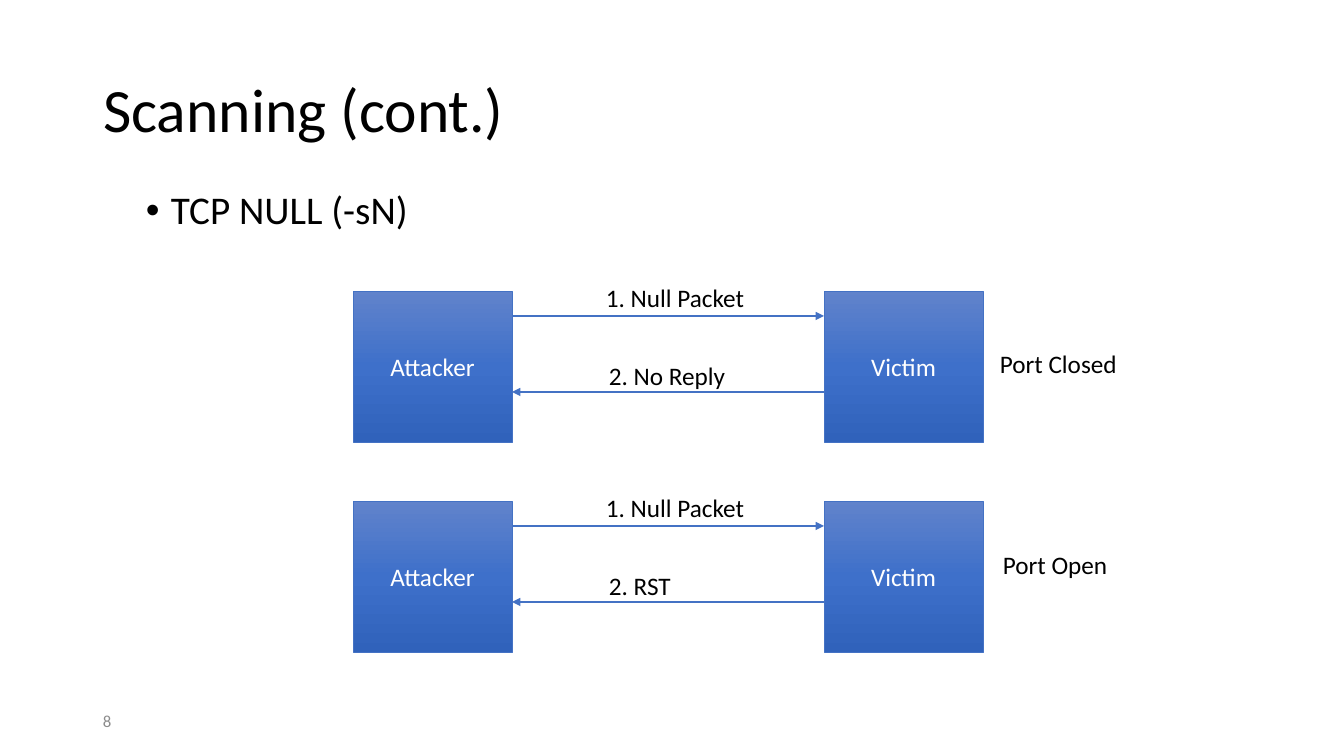
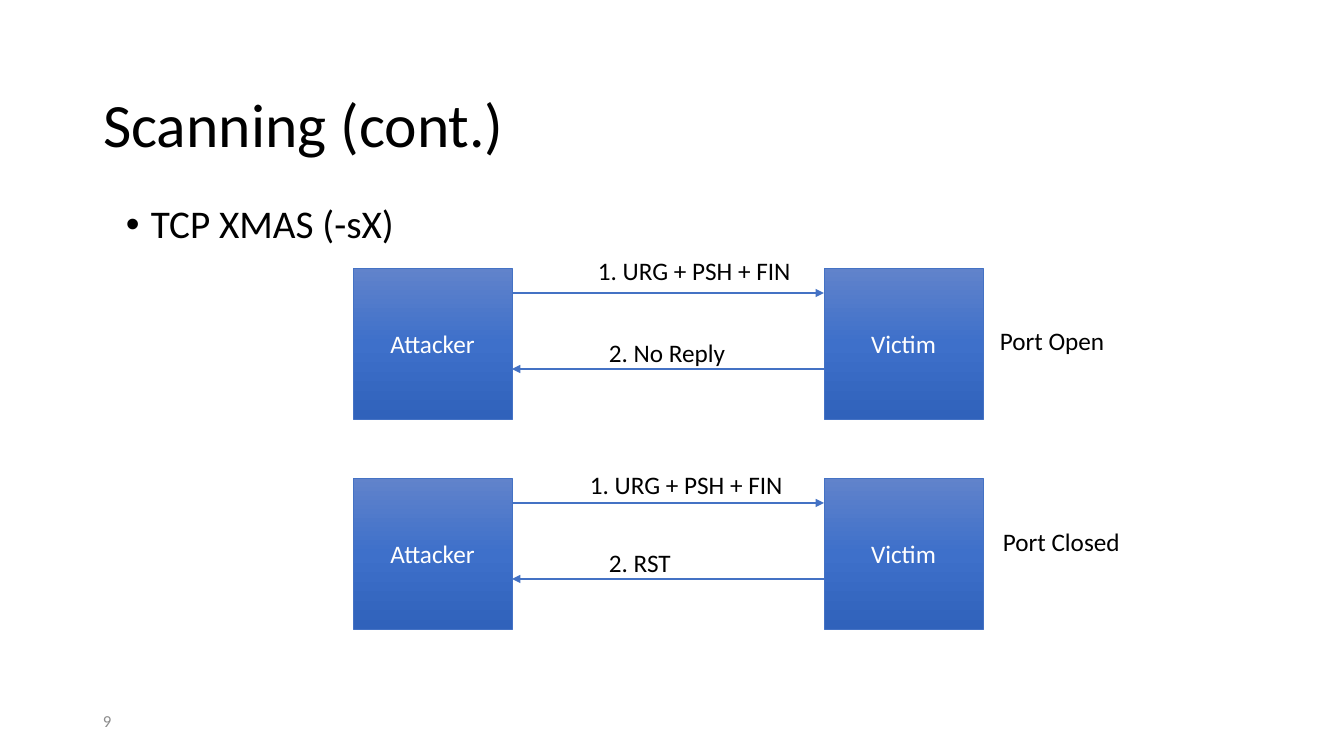
from dataclasses import dataclass
from copy import deepcopy

from lxml.etree import SubElement
from pptx import Presentation
from pptx.dml.color import RGBColor
from pptx.enum.shapes import MSO_CONNECTOR, MSO_SHAPE
from pptx.enum.text import MSO_ANCHOR, MSO_AUTO_SIZE, PP_ALIGN
from pptx.oxml.ns import qn
from pptx.util import Pt

EMU_PER_PIXEL = 914400 / 100.8


@dataclass(frozen=True)
class Theme:
    font: str = "Calibri"
    title_size: int = 44
    bullet_size: int = 28
    label_size: int = 18
    number_size: int = 12
    text: str = "000000"
    node_text: str = "FFFFFF"
    number: str = "8C8C8C"
    accent: str = "4472C4"
    gradient: tuple = ((0, "6183CB"), (0.5, "3E70CA"), (1, "3062BB"))
    outline_width: float = 0.5
    arrow_width: float = 1


@dataclass(frozen=True)
class Label:
    text: str
    left: int
    top: int
    width: int


THEME = Theme()
NODE_WIDTH, NODE_HEIGHT = 159, 151
EXCHANGE_LEFT, EXCHANGE_WIDTH, EXCHANGE_PITCH = 353, 630, 210
REQUEST_OFFSET, REPLY_OFFSET = 25, 101
LABEL_HEIGHT = 40


def px(value):
    return round(value * EMU_PER_PIXEL)


def box_emu(*box):
    return [px(value) for value in box]


def set_text(shape, text, size, color, anchor=MSO_ANCHOR.TOP, align=PP_ALIGN.LEFT, wrap=True):
    frame = shape.text_frame
    frame.text = text
    frame.word_wrap = wrap
    frame.auto_size = MSO_AUTO_SIZE.NONE
    frame.vertical_anchor = anchor
    paragraph = frame.paragraphs[0]
    paragraph.alignment = align
    font = paragraph.runs[0].font
    font.name = THEME.font
    font.size = Pt(size)
    font.color.rgb = RGBColor.from_string(color)
    return paragraph


def add_title(slide, box, text):
    title = slide.shapes.title
    title.left, title.top, title.width, title.height = box_emu(*box)
    paragraph = set_text(title, text, THEME.title_size, THEME.text, MSO_ANCHOR.MIDDLE)
    paragraph.line_spacing = 0.9


def add_bullet(slide, box, text):
    shape = slide.shapes.add_textbox(*box_emu(*box))
    paragraph = set_text(shape, text, THEME.bullet_size, THEME.text)
    paragraph.line_spacing = 0.9
    paragraph.space_before = Pt(10)
    properties = paragraph._p.get_or_add_pPr()
    properties.set("marL", str(px(25)))
    properties.set("indent", str(px(-25)))
    SubElement(properties, qn("a:buFont"), typeface="Arial")
    SubElement(properties, qn("a:buChar"), char="•")


def add_slide_number(slide, box, number):
    shape = slide.shapes.add_textbox(*box_emu(*box))
    set_text(shape, str(number), THEME.number_size, THEME.number, MSO_ANCHOR.MIDDLE)


def add_node(slide, left, top, name):
    box = box_emu(left, top, NODE_WIDTH, NODE_HEIGHT)
    node = slide.shapes.add_shape(MSO_SHAPE.RECTANGLE, *box)
    node.shadow.inherit = False
    node.fill.gradient()
    node.fill.gradient_angle = 270
    stop_list = node._element.spPr.find(qn("a:gradFill")).find(qn("a:gsLst"))
    stop_list.append(deepcopy(stop_list[-1]))
    for stop, (position, color) in zip(node.fill.gradient_stops, THEME.gradient):
        stop.position = position
        stop.color.rgb = RGBColor.from_string(color)
    node.line.color.rgb = RGBColor.from_string(THEME.accent)
    node.line.width = Pt(THEME.outline_width)
    set_text(node, name, THEME.label_size, THEME.node_text, MSO_ANCHOR.MIDDLE, PP_ALIGN.CENTER)


def add_arrow(slide, start, end, top):
    arrow = slide.shapes.add_connector(MSO_CONNECTOR.STRAIGHT, *box_emu(start, top, end, top))
    arrow.line.color.rgb = RGBColor.from_string(THEME.accent)
    arrow.line.width = Pt(THEME.arrow_width)
    SubElement(arrow.line._get_or_add_ln(), qn("a:tailEnd"), type="triangle")
    SubElement(arrow._element.spPr, qn("a:effectLst"))


def add_exchange(slide, left, top, width, labels):
    victim_left = left + width - NODE_WIDTH
    attacker_right = left + NODE_WIDTH
    add_node(slide, left, top, "Attacker")
    add_node(slide, victim_left, top, "Victim")
    add_arrow(slide, attacker_right, victim_left, top + REQUEST_OFFSET)
    add_arrow(slide, victim_left, attacker_right, top + REPLY_OFFSET)
    for label in labels:
        box = box_emu(left + label.left, top + label.top, label.width, LABEL_HEIGHT)
        shape = slide.shapes.add_textbox(*box)
        set_text(shape, label.text, THEME.label_size, THEME.text, wrap=False)


def add_scan_slide(presentation, number, title_top, bullet, bullet_at, exchange_top, exchanges):
    slide = presentation.slides.add_slide(presentation.slide_layouts[5])
    add_title(slide, (93, title_top, 1159, 146), "Scanning (cont.)")
    add_bullet(slide, (*bullet_at, 1159, 480), bullet)
    add_slide_number(slide, (93, 701, 302, 40), number)
    for index, labels in enumerate(exchanges):
        top = exchange_top + index * EXCHANGE_PITCH
        add_exchange(slide, EXCHANGE_LEFT, top, EXCHANGE_WIDTH, labels)


presentation = Presentation()
presentation.slide_width, presentation.slide_height = box_emu(1344, 756)

null_packet = Label("1. Null Packet", 243, -14, 160)
no_reply = Label("2. No Reply", 246, 64, 138)
reset = Label("2. RST", 246, 64, 83)

add_scan_slide(
    presentation, 8, 40, "TCP NULL (-sN)", (136, 186), 291,
    [
        (null_packet, no_reply, Label("Port Closed", 637, 52, 138)),
        (null_packet, reset, Label("Port Open", 640, 43, 126)),
    ],
)
add_scan_slide(
    presentation, 9, 55, "TCP XMAS (-sX)", (116, 200), 268,
    [
        (Label("1. URG + PSH + FIN", 235, -18, 216), no_reply, Label("Port Open", 637, 52, 126)),
        (Label("1. URG + PSH + FIN", 227, -14, 216), reset, Label("Port Closed", 640, 43, 138)),
    ],
)
presentation.save("out.pptx")
